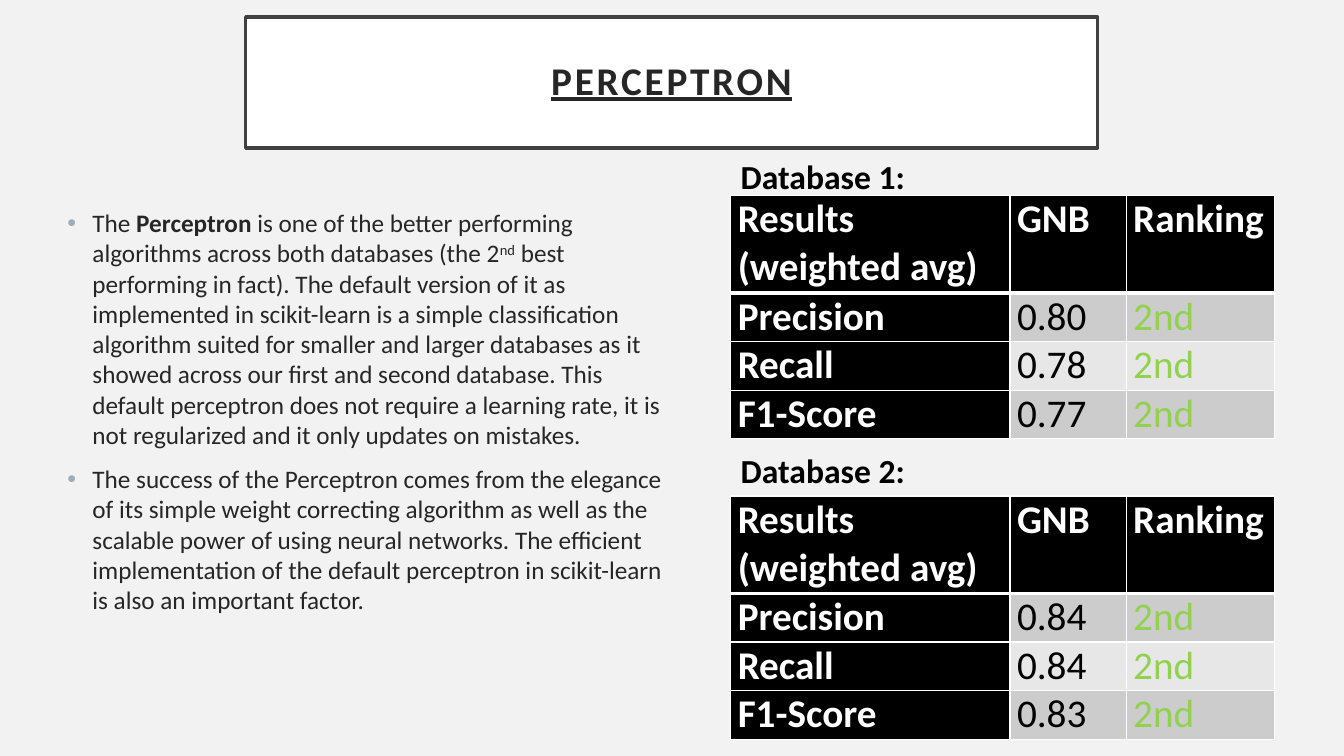
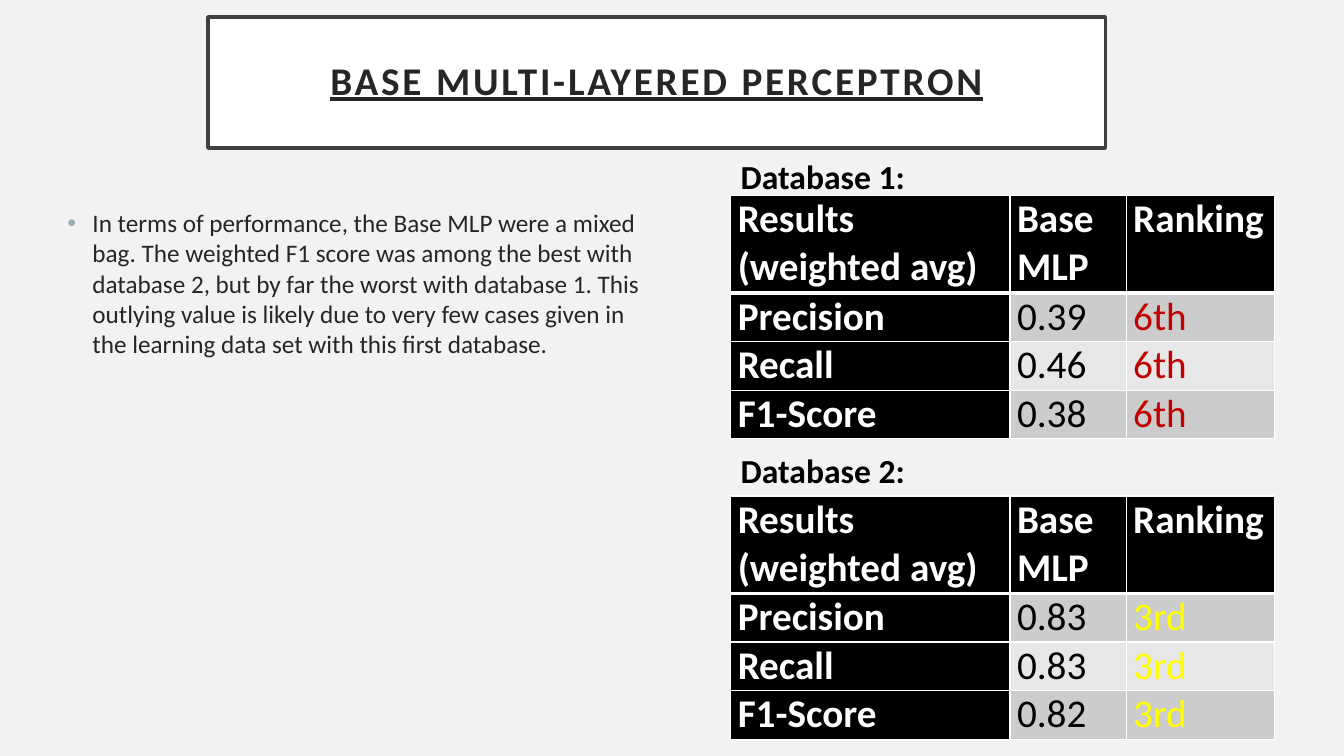
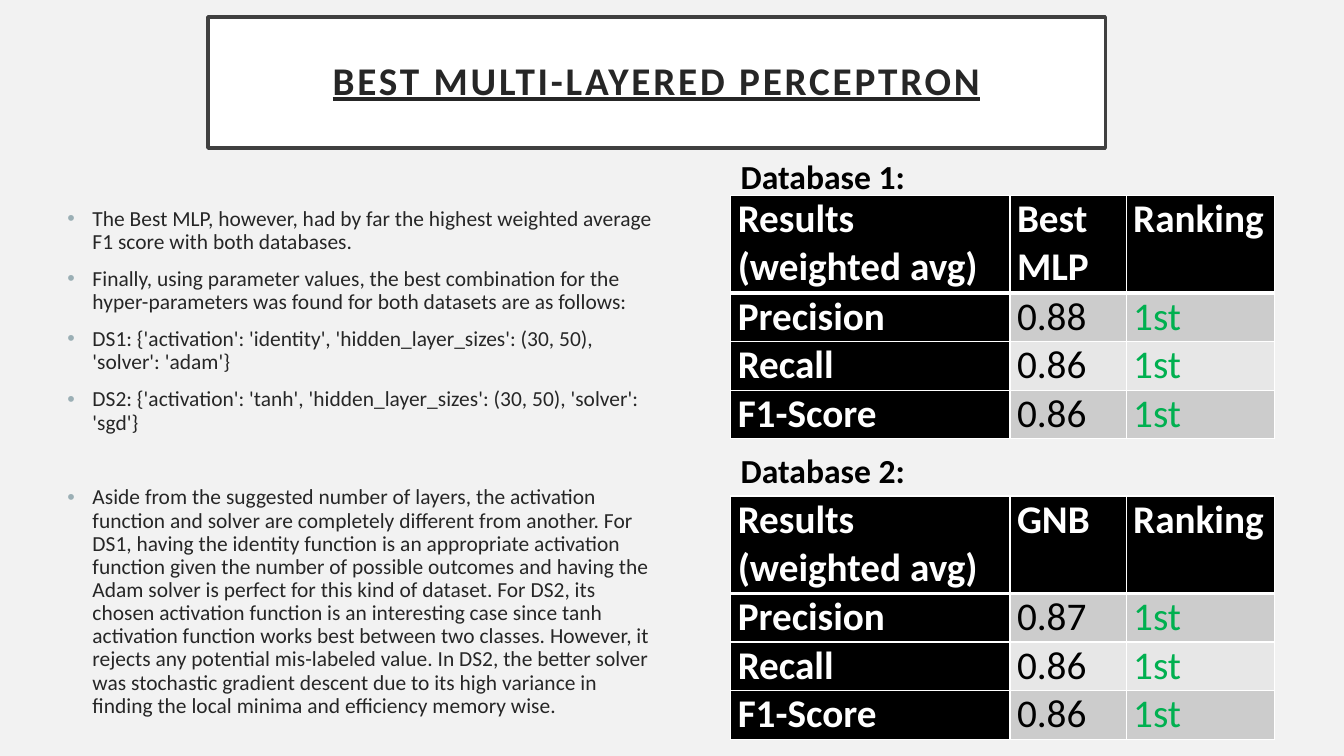
"""Build three slides that compare perceptron classifiers on two databases."""
from lxml.etree import SubElement
from pptx import Presentation
from pptx.dml.color import RGBColor
from pptx.enum.shapes import MSO_SHAPE
from pptx.enum.text import MSO_ANCHOR, PP_ALIGN
from pptx.oxml.ns import qn
from pptx.util import Pt

FONT = "Calibri"
COLORS = {
    "background": "F2F2F2", "white": "FFFFFF", "black": "000000",
    "frame": "404040", "text": "262626", "bullet": "9BAFB5",
    "odd_row": "CCCCCC", "even_row": "E7E7E7",
    "1st": "00B050", "2nd": "92D050", "3rd": "FFFF00", "6th": "C00000",
}
METRICS = ["Precision", "Recall", "F1-Score"]
COLUMN_WIDTHS = [199.5, 83, 106]
ROW_HEIGHTS = [69.6, 34.7, 34.7, 34.7]
TABLE_LEFT = 522
DATABASES = [
    {"caption": "Database 1:", "caption_top": 108, "table_top": 139.7},
    {"caption": "Database 2:", "caption_top": 318.2, "table_top": 354.3},
]
WIDE_TITLE = (148.5, 641)
SLIDES = [
    {
        "title": "PERCEPTRON", "title_span": (175.5, 608.5),
        "size": 18, "line_spacing": 1.0,
        "bullets": [
            [("The ", ""), ("Perceptron", "bold"),
             (" is one of the better performing algorithms across both databases (the 2", ""),
             ("nd", "superscript"),
             (" best performing in fact). The default version of it as implemented in "
              "scikit-learn is a simple classification algorithm suited for smaller and larger "
              "databases as it showed across our first and second database. This default "
              "perceptron does not require a learning rate, it is not regularized and it only "
              "updates on mistakes.", "")],
            [("The success of the Perceptron comes from the elegance of its simple weight "
              "correcting algorithm as well as the scalable power of using neural networks. The "
              "efficient implementation of the default perceptron in scikit-learn is also an "
              "important factor.", "")],
        ],
        "results": [("GNB", ["0.80", "0.78", "0.77"], "2nd"),
                    ("GNB", ["0.84", "0.84", "0.83"], "2nd")],
    },
    {
        "title": "BASE MULTI-LAYERED PERCEPTRON", "title_span": WIDE_TITLE,
        "size": 18, "line_spacing": 1.0,
        "bullets": [
            [("In terms of performance, the Base MLP were a mixed bag. The weighted F1 score was "
              "among the best with database 2, but by far the worst with database 1. This "
              "outlying value is likely due to very few cases given in the learning data set "
              "with this first database.", "")],
        ],
        "results": [("Base MLP", ["0.39", "0.46", "0.38"], "6th"),
                    ("Base MLP", ["0.83", "0.83", "0.82"], "3rd")],
    },
    {
        "title": "BEST MULTI-LAYERED PERCEPTRON", "title_span": WIDE_TITLE,
        "size": 15.3, "line_spacing": 0.9, "last_gap": 37,
        "bullets": [
            [("The Best MLP, however, had by far the highest weighted average F1 score with both "
              "databases.", "")],
            [("Finally, using parameter values, the best combination for the hyper-parameters "
              "was found for both datasets are as follows:", "")],
            [("DS1: {'activation': 'identity', 'hidden_layer_sizes': (30, 50), "
              "'solver': 'adam'}", "")],
            [("DS2: {'activation': 'tanh', 'hidden_layer_sizes': (30, 50), "
              "'solver': 'sgd'}", "")],
            [("Aside from the suggested number of layers, the activation function and solver are "
              "completely different from another. For DS1, having the identity function is an "
              "appropriate activation function given the number of possible outcomes and having "
              "the Adam solver is perfect for this kind of dataset. For DS2, its chosen "
              "activation function is an interesting case since tanh activation function works "
              "best between two classes. However, it rejects any potential mis-labeled value. In "
              "DS2, the better solver was stochastic gradient descent due to its high variance "
              "in finding the local minima and efficiency memory wise.", "")],
        ],
        "results": [("Best MLP", ["0.88", "0.86", "0.86"], "1st"),
                    ("GNB", ["0.87", "0.86", "0.86"], "1st")],
    },
]


def rgb(name):
    return RGBColor.from_string(COLORS[name])


def style_run(run, size, color, bold=False):
    run.font.name = FONT
    run.font.size = Pt(size)
    run.font.bold = bold
    run.font.color.rgb = rgb(color)


def add_title(slide, title, span):
    left, width = span
    banner = slide.shapes.add_shape(
        MSO_SHAPE.RECTANGLE, Pt(left), Pt(12.2), Pt(width), Pt(93.6))
    banner.shadow.inherit = False
    banner.fill.solid()
    banner.fill.fore_color.rgb = rgb("white")
    banner.line.color.rgb = rgb("frame")
    banner.line.width = Pt(2.5)
    frame = banner.text_frame
    frame.text = title
    frame.word_wrap = True
    frame.vertical_anchor = MSO_ANCHOR.MIDDLE
    frame.margin_left = frame.margin_right = Pt(14.4)
    frame.margin_top = frame.margin_bottom = Pt(14.4)
    heading = frame.paragraphs[0]
    heading.alignment = PP_ALIGN.CENTER
    heading.line_spacing = 0.9
    run = heading.runs[0]
    style_run(run, 28, "text", bold=True)
    run.font.underline = True
    run.font._element.set("spc", "200")


def add_bullet_mark(paragraph):
    properties = paragraph._p.get_or_add_pPr()
    properties.set("marL", str(Pt(18)))
    properties.set("indent", str(-Pt(18)))
    mark_color = SubElement(properties, qn("a:buClr"))
    SubElement(mark_color, qn("a:srgbClr"), val=COLORS["bullet"])
    SubElement(properties, qn("a:buFont"), typeface="Arial")
    SubElement(properties, qn("a:buChar"), char="•")


def add_bullets(slide, content):
    frame = slide.shapes.add_textbox(Pt(41), Pt(144.7), Pt(439.2), Pt(383.8)).text_frame
    frame.word_wrap = True
    for index, pieces in enumerate(content["bullets"]):
        paragraph = frame.add_paragraph() if index else frame.paragraphs[0]
        is_last = index == len(content["bullets"]) - 1
        paragraph.space_before = Pt(content.get("last_gap", 10) if is_last else 10)
        paragraph.line_spacing = content["line_spacing"]
        add_bullet_mark(paragraph)
        for text, emphasis in pieces:
            run = paragraph.add_run()
            run.text = text
            style_run(run, content["size"], "text", bold=emphasis == "bold")
            if emphasis == "superscript":
                run.font._element.set("baseline", "30000")


def add_caption(slide, caption, top):
    frame = slide.shapes.add_textbox(Pt(TABLE_LEFT), Pt(top), Pt(213.8), Pt(36)).text_frame
    frame.word_wrap = True
    frame.text = caption
    style_run(frame.paragraphs[0].runs[0], 24, "black", bold=True)


def set_borders(cell, row):
    widths = {"L": 1, "R": 1, "T": 3 if row == 1 else 1, "B": 3 if row == 0 else 1}
    properties = cell._tc.get_or_add_tcPr()
    for side, width in widths.items():
        border = SubElement(properties, qn(f"a:ln{side}"), w=str(Pt(width)))
        fill = SubElement(border, qn("a:solidFill"))
        SubElement(fill, qn("a:srgbClr"), val=COLORS["white"])


def add_results(slide, top, model, scores, rank):
    rows = [("Results (weighted avg)", model, "Ranking")]
    rows += [(metric, score, rank) for metric, score in zip(METRICS, scores)]
    table = slide.shapes.add_table(
        len(rows), len(COLUMN_WIDTHS), Pt(TABLE_LEFT), Pt(top),
        Pt(sum(COLUMN_WIDTHS)), Pt(sum(ROW_HEIGHTS))).table
    table.horz_banding = False
    for column, width in zip(table.columns, COLUMN_WIDTHS):
        column.width = Pt(width)
    for row, values in enumerate(rows):
        table.rows[row].height = Pt(ROW_HEIGHTS[row])
        for column, value in enumerate(values):
            is_header = row == 0 or column == 0
            band = "odd_row" if row % 2 else "even_row"
            color = "white" if is_header else ("black" if column == 1 else rank)
            cell = table.cell(row, column)
            cell.margin_left = cell.margin_right = Pt(5)
            cell.margin_top = cell.margin_bottom = Pt(0)
            set_borders(cell, row)
            cell.fill.solid()
            cell.fill.fore_color.rgb = rgb("black" if is_header else band)
            cell.text_frame.text = value
            style_run(cell.text_frame.paragraphs[0].runs[0], 28, color, bold=is_header)


def main():
    deck = Presentation()
    deck.slide_width, deck.slide_height = Pt(960), Pt(540)
    for content in SLIDES:
        slide = deck.slides.add_slide(deck.slide_layouts[6])
        slide.background.fill.solid()
        slide.background.fill.fore_color.rgb = rgb("background")
        add_title(slide, content["title"], content["title_span"])
        add_bullets(slide, content)
        for database, result in zip(DATABASES, content["results"]):
            add_results(slide, database["table_top"], *result)
            add_caption(slide, database["caption"], database["caption_top"])
    deck.save("out.pptx")


if __name__ == "__main__":
    main()
